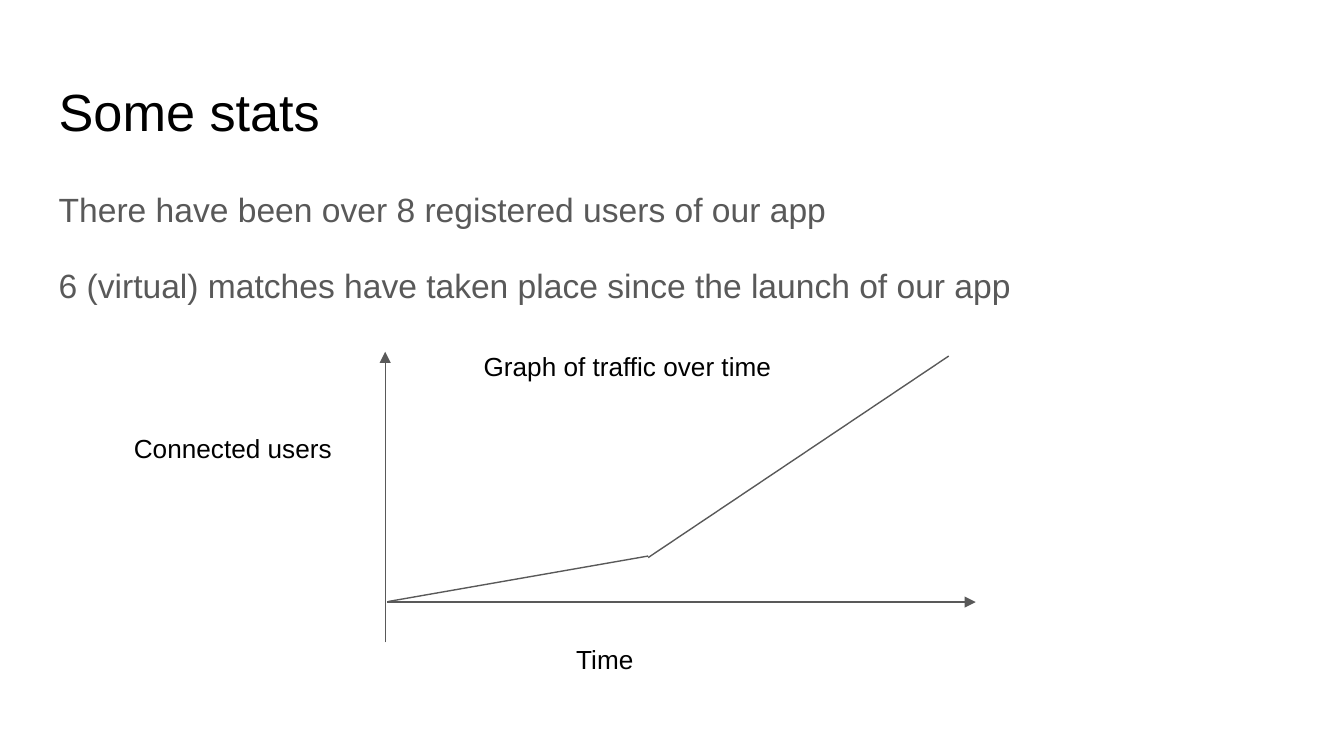
from lxml import etree
from pptx import Presentation
from pptx.dml.color import RGBColor
from pptx.enum.shapes import MSO_CONNECTOR
from pptx.oxml.ns import qn
from pptx.util import Cm, Pt

STRAIGHT = MSO_CONNECTOR.STRAIGHT

THEME = {
    "font": "Arial",
    "ink": RGBColor(0x00, 0x00, 0x00),
    "grey": RGBColor(0x59, 0x59, 0x59),
    "title": Pt(28),
    "body": Pt(18),
    "label": Pt(14),
    "line": Pt(0.75),
}

# Content: all lengths in centimetres
TITLE = "Some stats"
FACTS = [
    "There have been over 8 registered users of our app",
    "6 (virtual) matches have taken place since the launch of our app",
]
LABELS = [  # text, left, top
    ("Graph of traffic over time", 8.89, 6.38),
    ("Connected users", 2.28, 7.92),
    ("Time", 10.64, 11.91),
]
AXES = [  # start, end
    ((7.28, 12.14), (7.28, 6.65)),
    ((7.32, 11.38), (18.44, 11.38)),
]
TRAFFIC = [
    ((7.34, 11.37), (12.25, 10.51)),
    ((12.25, 10.54), (17.93, 6.73)),
]
MARGIN, TEXT_WIDTH = 0.86, 23.67
LABEL_WIDTH, LABEL_HEIGHT = 10.39, 1.22


def add_text(page, lines, left, top, width, height, size, color):
    box = page.shapes.add_textbox(Cm(left), Cm(top), Cm(width), Cm(height))
    frame = box.text_frame
    frame.word_wrap = True
    frame.margin_left = frame.margin_right = Cm(0.25)
    frame.margin_top = frame.margin_bottom = Cm(0.25)
    frame.text = "\n".join(lines)
    for para in frame.paragraphs:
        para.font.name = THEME["font"]
        para.font.size = size
        para.font.color.rgb = color
    return frame


def add_line(page, start, end, arrow=False):
    line = page.shapes.add_connector(STRAIGHT, *map(Cm, start + end))
    line.line.color.rgb = THEME["grey"]
    line.line.width = THEME["line"]
    if arrow:
        outline = line.line._get_or_add_ln()
        etree.SubElement(outline, qn("a:tailEnd"), type="triangle", w="med", len="med")
    etree.SubElement(line._element.spPr, qn("a:effectLst"))


deck = Presentation()
deck.slide_width, deck.slide_height = Cm(25.4), Cm(14.29)
page = deck.slides.add_slide(deck.slide_layouts[6])

# Title and facts
add_text(page, [TITLE], MARGIN, 1.24, TEXT_WIDTH, 1.59, THEME["title"], THEME["ink"])
facts = add_text(page, FACTS, MARGIN, 3.2, TEXT_WIDTH, 9.49, THEME["body"], THEME["grey"])
for para in facts.paragraphs:
    para.line_spacing = 1.15
    para.space_after = Pt(16)

# Sketched graph
for start, end in AXES:
    add_line(page, start, end, arrow=True)
for start, end in TRAFFIC:
    add_line(page, start, end)

# Graph labels
for text, left, top in LABELS:
    add_text(page, [text], left, top, LABEL_WIDTH, LABEL_HEIGHT, THEME["label"], THEME["ink"])

deck.save("out.pptx")
